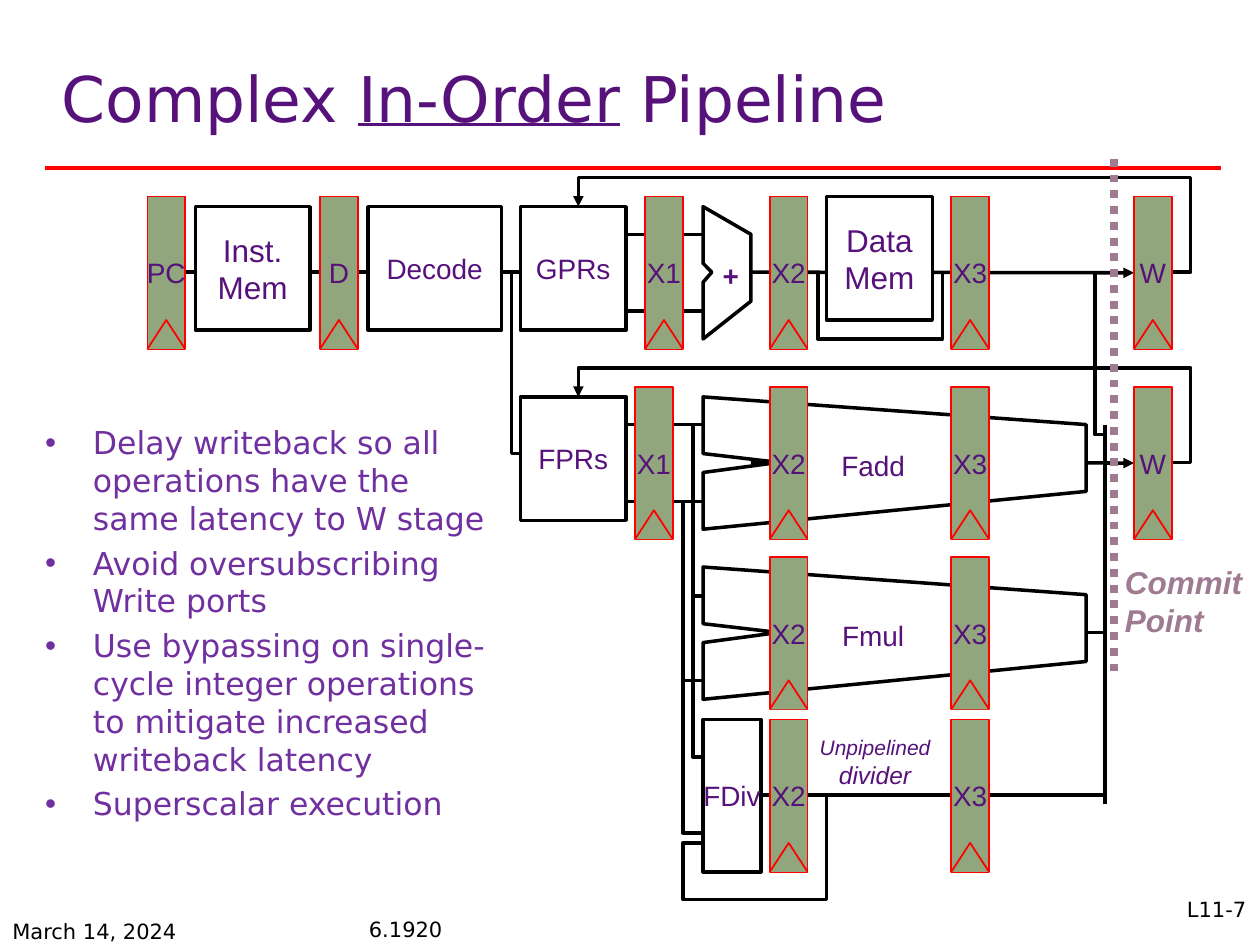
from dataclasses import dataclass

from lxml import etree
from pptx import Presentation
from pptx import util as u
from pptx.dml.color import RGBColor
from pptx.enum import dml, shapes, text
from pptx.oxml import ns

COLORS = {"title": "56127A", "bullet": "7030A0", "register": "91A67C", "red": "FF0000",
          "black": "000000", "white": "FFFFFF", "commit": "9E7B91"}
LEFT, CENTER, RIGHT = text.PP_ALIGN.LEFT, text.PP_ALIGN.CENTER, text.PP_ALIGN.RIGHT
TOP, MIDDLE = text.MSO_ANCHOR.TOP, text.MSO_ANCHOR.MIDDLE
SANS, ARIAL = "DejaVu Sans", "Arial"

# Offsets shared by the lanes
REG_W, REG_H, MID = 0.3, 1.21, 0.6
X2, X3, W = 0.53, 1.97, 3.42  # register columns, from a unit's left edge


@dataclass
class Box:
    left: float
    top: float
    width: float = 0
    height: float = 0

    def inner(self, x, y, width=0, height=0):
        return Box(self.left + x, self.top + y, width, height)

    def frame(self):
        return [u.Inches(v) for v in (self.left, self.top, self.width, self.height)]

    def point(self, x, y):
        return u.Inches(self.left + x), u.Inches(self.top + y)


def rgb(name):
    return RGBColor.from_string(COLORS[name])


def set_text(shape, content, size=16, font=ARIAL, color="title", bold=False, italic=False,
             align=LEFT, anchor=TOP, wrap=True, spacing=None):
    """Fill a shape with one paragraph; content is a string or (string, font changes) pairs."""
    frame = shape.text_frame
    frame.word_wrap, frame.vertical_anchor = wrap, anchor
    frame.auto_size = text.MSO_AUTO_SIZE.NONE
    para = frame.paragraphs[0]
    para.alignment, para.line_spacing = align, spacing
    for words, changes in [(content, {})] if isinstance(content, str) else content:
        span = para.add_run()
        span.text = words
        span.font.name, span.font.size = font, u.Pt(size)
        span.font.bold, span.font.italic = bold, italic
        span.font.color.rgb = rgb(color)
        for key, value in changes.items():
            setattr(span.font, key, value)


def add_label(page, box, content, **style):
    label = page.shapes.add_textbox(*box.frame())
    set_text(label, content, **style)


def paint(shape, fill, line, width):
    shape.shadow.inherit = False
    if fill:
        shape.fill.solid()
        shape.fill.fore_color.rgb = rgb(fill)
    else:
        shape.fill.background()
    if line:
        shape.line.color.rgb = rgb(line)
        shape.line.width = u.Pt(width)
    else:
        shape.line.fill.background()


def add_arrowhead(shape):
    line = shape.element.spPr.find(ns.qn("a:ln"))
    etree.SubElement(line, ns.qn("a:tailEnd"), type="triangle")


def add_block(page, box, content, fill="white", line="black", width=2, **style):
    block = page.shapes.add_shape(shapes.MSO_SHAPE.RECTANGLE, *box.frame())
    paint(block, fill, line, width)
    set_text(block, content, **{"align": CENTER, "anchor": MIDDLE, **style})
    return block


def add_outline(page, box, points, fill=None, line="black", width=2, close=False, arrow=False):
    start, *rest = [box.point(*point) for point in points]
    builder = page.shapes.build_freeform(*start)
    builder.add_line_segments(rest, close=close)
    outline = builder.convert_to_shape()
    paint(outline, fill, line, width)
    if arrow:
        add_arrowhead(outline)


def add_line(page, box, start, end, color="black", width=2, arrow=False):
    line = page.shapes.add_connector(shapes.MSO_CONNECTOR.STRAIGHT,
                                     *box.point(*start), *box.point(*end))
    line.line.color.rgb = rgb(color)
    line.line.width = u.Pt(width)
    if arrow:
        add_arrowhead(line)
    etree.SubElement(line.element.spPr, ns.qn("a:effectLst"))
    return line


def add_register(page, box, name):
    register = add_block(page, Box(box.left, box.top, REG_W, REG_H), name, fill="register",
                         line="red", width=1, wrap=False)
    add_outline(page, box, [(0, REG_H), (REG_W / 2, 0.98), (REG_W, REG_H)], "register", "red", 1)
    return register


def add_title(page, box):
    title = page.shapes.title
    title.left, title.top, title.width, title.height = box.frame()
    set_text(title, [("Complex ", {}), ("In-Order", {"underline": True}), (" Pipeline", {})],
             size=36, font=SANS, anchor=MIDDLE, spacing=0.8)
    add_line(page, box, (-0.03, 0.96), (9.3, 0.96), "red", 2.25)


def add_bullets(page, box, items):
    area = page.shapes.add_textbox(*box.frame())
    frame = area.text_frame
    frame.word_wrap = True
    for index, item in enumerate(items):
        para = frame.add_paragraph() if index else frame.paragraphs[0]
        para.space_before = u.Pt(4)
        span = para.add_run()
        span.text = item
        span.font.name, span.font.size = SANS, u.Pt(18)
        span.font.color.rgb = rgb("bullet")
        props = para._p.get_or_add_pPr()
        props.set("marL", str(u.Inches(0.38)))
        props.set("indent", str(u.Inches(-0.38)))
        etree.SubElement(props, ns.qn("a:buFont"), typeface=ARIAL)
        etree.SubElement(props, ns.qn("a:buChar"), char="•")


def add_front_end(page, box):
    add_line(page, box, (0.15, MID), (3.49, MID))
    for x, name in ((0, "PC"), (1.37, "D")):
        add_register(page, box.inner(x, 0), name)
    add_block(page, box.inner(0.38, 0.08, 0.91, 0.98), "Inst. Mem", size=18)
    add_block(page, box.inner(1.75, 0.08, 1.06, 0.98), "Decode")


def add_register_file(page, box, name, x1):
    # Writeback from W
    add_outline(page, box, [(5.02, MID), (5.32, MID), (5.32, -0.15), (0.46, -0.15),
                            (0.46, 0.08)], arrow=True)
    # Read ports
    for y in (0.3, 0.91):
        add_line(page, box, (0.7, y), (1.45, y))
    add_block(page, box.inner(0, 0.08, 0.84, 0.98), name)
    add_register(page, box.inner(x1, 0), "X1")


def add_unit(page, box, name, label_x, width, notch, writeback=True, bold=False):
    """Draw a functional unit with its X2 and X3 registers, and W if it has a writeback."""
    if writeback:
        result = add_line(page, box, (0.38, MID), (W, MID), arrow=True)
    else:
        add_line(page, box, (width, MID), (3.19, MID))
    add_outline(page, box, [(0, 0.08), (0, 0.53), (notch, MID), (0, 0.68), (0, 1.13),
                            (width, 0.83), (width, 0.3)], "white", close=True)
    for x, register in ((X2, "X2"), (X3, "X3")):
        add_register(page, box.inner(x, 0), register)
    add_label(page, box.inner(label_x, 0.44, 0.7, 0.37), name, bold=bold, align=CENTER,
              anchor=MIDDLE, wrap=False)
    if writeback:
        result.end_connect(add_register(page, box.inner(W, 0), "W"), 1)


def add_data_memory(page, box):
    add_block(page, box.inner(0, 0, 0.84, 0.98), "Data Mem", size=18)
    add_outline(page, box, [(-0.07, MID), (-0.07, 1.13), (0.92, 1.13), (0.92, MID)])


def add_divider(page, box):
    # Feedback loop, then the result bus up to the writeback lane
    add_outline(page, box, [(0.45, MID), (0.98, MID), (0.98, 1.43), (-0.16, 1.43),
                            (-0.16, 0.98), (0, 0.98)])
    add_outline(page, box, [(0.98, MID), (3.19, MID), (3.19, -2.34)])
    add_line(page, box, (3.19, MID), (3.19, 0.67))
    add_block(page, box.inner(0, 0, 0.46, REG_H), "FDiv", fill=None, wrap=False)
    for x, name in ((X2, "X2"), (X3, "X3")):
        add_register(page, box.inner(x, 0), name)
    add_label(page, box.inner(0.76, 0.04, 1.21, 0.57),
              [("Unpipelined", {"size": u.Pt(12)}), (" divider", {})],
              size=14, italic=True, align=CENTER, anchor=MIDDLE)


def add_operand_wires(page, box):
    """Carry both operands from the FP read ports down to Fmul and FDiv."""
    for x, stops in ((-0.16, (0.6, 2.03, 3.24)), (-0.08, (0, 1.36, 2.64))):
        for start, end in zip(stops, stops[1:]):
            add_outline(page, box, [(x, start), (x, end), (0, end)])


def add_lane_links(page, box):
    """Join the integer lane to FPRs and to the floating-point result bus."""
    add_outline(page, box, [(0, 0), (0, 1.44), (0.07, 1.44)])
    add_outline(page, box, [(4.71, 1.29), (4.63, 1.29), (4.63, 0)])


def add_commit_point(page, box):
    line = add_line(page, box, (0, 0), (0, 4.07), "commit", 4.5)
    line.line.dash_style = dml.MSO_LINE.ROUND_DOT
    add_label(page, box.inner(-0.01, 3.16, 1.4, 0.7), "Commit Point", size=18, color="commit",
              bold=True, italic=True)


def add_footer(page, box):
    style = dict(size=12, font=SANS, color="black")
    add_label(page, box.inner(0, 0.17, 2, 0.33), "March 14, 2024", **style)
    add_label(page, box.inner(2.83, 0.17, 4, 0.33), "6.1920", spacing=0.93, **style)
    add_block(page, box.inner(8.49, 0, 1.5, 0.5), "L11-7", line=None, align=RIGHT,
              anchor=TOP, **style)


def main():
    deck = Presentation()
    deck.slide_width, deck.slide_height = u.Inches(10), u.Inches(7.5)
    page = deck.slides.add_slide(deck.slide_layouts[5])
    add_title(page, Box(0.39, 0.37, 8.36, 0.91))
    add_bullets(page, Box(0.26, 3.31, 3.7, 4.01), [
        "Delay writeback so all operations have the same latency to W stage",
        "Avoid oversubscribing Write ports",
        "Use bypassing on single-cycle integer operations to mitigate increased writeback latency",
        "Superscalar execution"])

    # Integer lane
    add_front_end(page, Box(1.17, 1.56))
    add_register_file(page, Box(4.13, 1.56), "GPRs", 0.99)
    add_unit(page, Box(5.58, 1.56), "+", -0.13, 0.38, 0.07, bold=True)
    add_data_memory(page, Box(6.56, 1.56))

    # Floating-point lanes
    add_register_file(page, Box(4.13, 3.07), "FPRs", 0.91)
    add_unit(page, Box(5.58, 3.07), "Fadd", 1, 3.04, 0.6)
    add_unit(page, Box(5.58, 4.42), "Fmul", 1, 3.04, 0.6, writeback=False)
    add_divider(page, Box(5.58, 5.71))
    add_operand_wires(page, Box(5.58, 3.37))

    add_lane_links(page, Box(4.06, 2.16))
    add_commit_point(page, Box(8.84, 1.26))
    add_footer(page, Box(0, 7.07))
    deck.save("out.pptx")


if __name__ == "__main__":
    main()
